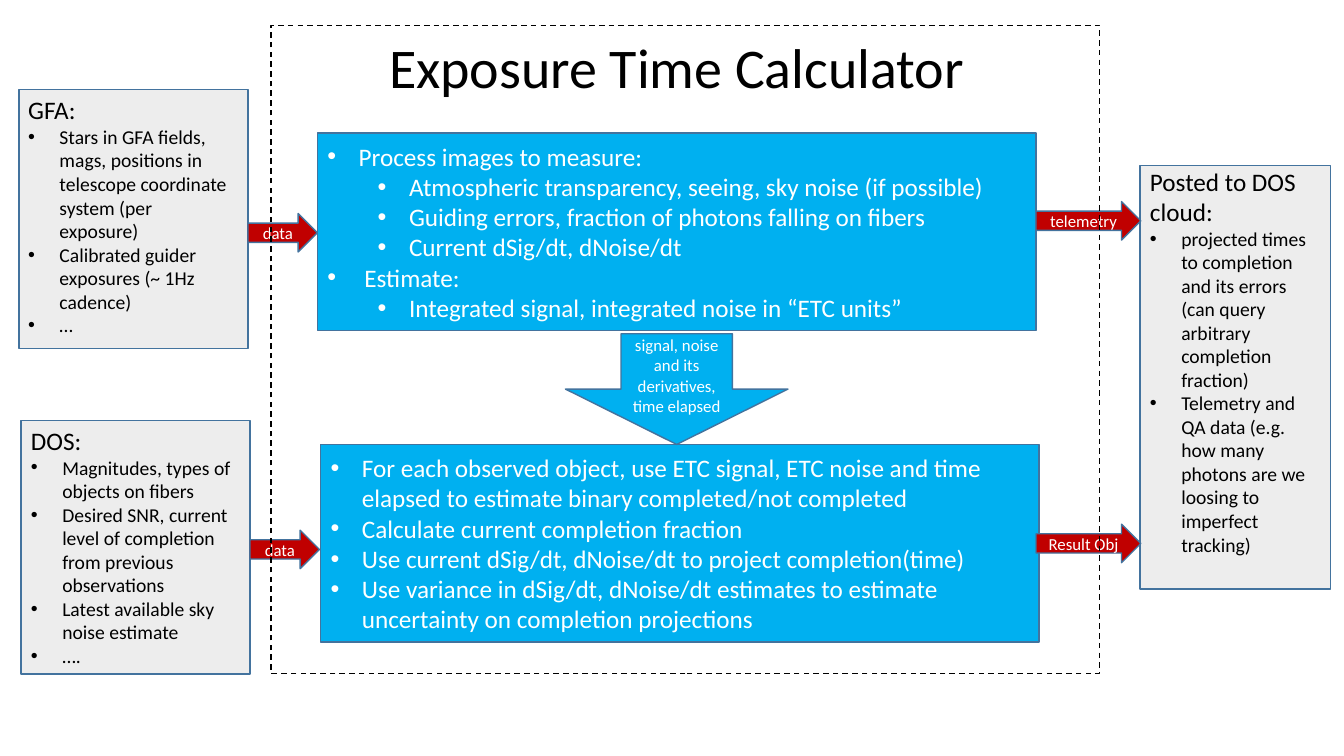
from lxml import etree
from pptx import Presentation
from pptx import util as u
from pptx.dml.color import RGBColor
from pptx.enum import dml, shapes, text
from pptx.oxml.ns import qn

FONT = "Calibri"
SKY = RGBColor(0x00, 0xB0, 0xF0)
RED = RGBColor(0xC0, 0x00, 0x00)
GREY = RGBColor(0xED, 0xED, 0xED)
EDGE = RGBColor(0x43, 0x73, 0x9E)
WHITE = RGBColor(0xFF, 0xFF, 0xFF)
BLACK = RGBColor(0x00, 0x00, 0x00)

KIND = shapes.MSO_SHAPE
INDENT = 0.79
LEVEL_STEP = 1.27
ARROW_HEIGHT = 0.97

# Boxes are (left, top, width, height) in centimetres.
FRAME = (6.83, 0.64, 20.88, 16.33)
MEASURE = (8.0, 3.35, 18.11, 4.98)
PROJECT = (8.08, 11.2, 18.11, 4.98)
HANDOVER = (14.25, 8.41, 5.61, 2.79)

MEASURE_ITEMS = [
    (0, "Process images to measure:"),
    (1, "Atmospheric transparency, seeing, sky noise (if possible)"),
    (1, "Guiding errors, fraction of photons falling on fibers"),
    (1, "Current dSig/dt, dNoise/dt"),
    (0, " Estimate:"),
    (1, "Integrated signal, integrated noise in “ETC units”"),
]
PROJECT_ITEMS = [
    (0, "For each observed object, use ETC signal, ETC noise and time elapsed "
        "to estimate binary completed/not completed"),
    (0, "Calculate current completion fraction"),
    (0, "Use current dSig/dt, dNoise/dt to project completion(time)"),
    (0, "Use variance in dSig/dt, dNoise/dt estimates to estimate "
        "uncertainty on completion projections"),
]
# Panel box, text box, heading, bullets.
PANELS = [
    ((0.48, 2.26, 5.77, 6.53), (0.46, 2.26, 5.66, 6.4), "GFA:", [
        "Stars in GFA fields, mags, positions in telescope coordinate system (per exposure)",
        "Calibrated guider exposures (~ 1Hz cadence)",
        "…",
    ]),
    ((0.53, 10.59, 5.77, 6.4), (0.53, 10.59, 5.64, 7.01), "DOS:", [
        "Magnitudes, types of objects on fibers",
        "Desired SNR, current level of completion from previous observations",
        "Latest available sky noise estimate",
        "….",
    ]),
    ((28.73, 4.17, 4.8, 10.67), (28.73, 4.06, 4.8, 10.85), "Posted to DOS cloud:", [
        "projected times to completion and its errors (can query arbitrary completion fraction)",
        "Telemetry and QA data (e.g. how many photons are we loosing to imperfect tracking)",
    ]),
]
# Left, top, width, label.
FLOWS = [
    (6.25, 5.38, 1.75, "data"),
    (6.3, 13.36, 1.75, "data"),
    (26.11, 5.08, 2.64, "telemetry"),
    (26.11, 13.21, 2.64, "Result Obj"),
]


def place(box):
    return [u.Cm(length) for length in box]


def add_span(para, words, size, color):
    span = para.add_run()
    span.text = words
    span.font.name = FONT
    span.font.size = u.Pt(size)
    span.font.color.rgb = color


def set_bullet(para, level=0):
    para.level = level
    props = para._p.get_or_add_pPr()
    props.set("marL", str(u.Cm(INDENT + level * LEVEL_STEP)))
    props.set("indent", str(-u.Cm(INDENT)))
    etree.SubElement(props, qn("a:buFont")).set("typeface", "Arial")
    etree.SubElement(props, qn("a:buChar")).set("char", "•")


def next_para(frame):
    """Return the empty first paragraph, or a new one after it."""
    first = frame.paragraphs[0]
    para = frame.add_paragraph() if first.runs else first
    para.alignment = text.PP_ALIGN.LEFT
    return para


def add_block(page, kind, box, fill):
    block = page.shapes.add_shape(kind, *place(box))
    block.shadow.inherit = False
    block.fill.solid()
    block.fill.fore_color.rgb = fill
    block.line.color.rgb = EDGE
    block.line.width = u.Pt(1)
    block.text_frame.vertical_anchor = text.MSO_ANCHOR.MIDDLE
    return block


def add_step(page, box, items):
    frame = add_block(page, KIND.RECTANGLE, box, SKY).text_frame
    for level, words in items:
        para = next_para(frame)
        set_bullet(para, level)
        add_span(para, words, 18, WHITE)


def add_panel(page, box, text_box, heading, items):
    add_block(page, KIND.RECTANGLE, box, GREY)
    frame = page.shapes.add_textbox(*place(text_box)).text_frame
    frame.word_wrap = True
    frame.auto_size = text.MSO_AUTO_SIZE.SHAPE_TO_FIT_TEXT
    add_span(next_para(frame), heading, 18, BLACK)
    for words in items:
        para = next_para(frame)
        set_bullet(para)
        add_span(para, words, 14, BLACK)


def add_arrow(page, kind, box, fill, label):
    para = add_block(page, kind, box, fill).text_frame.paragraphs[0]
    para.alignment = text.PP_ALIGN.CENTER
    add_span(para, label, 12, WHITE)


def add_frame(page, box):
    border = page.shapes.add_shape(KIND.RECTANGLE, *place(box))
    border.shadow.inherit = False
    border.fill.background()
    border.line.color.rgb = BLACK
    border.line.width = u.Pt(1)
    border.line.dash_style = dml.MSO_LINE.DASH


def add_title(page, box, words):
    title = page.shapes.title
    title.left, title.top, title.width, title.height = place(box)
    frame = title.text_frame
    frame.word_wrap = True
    frame.auto_size = text.MSO_AUTO_SIZE.NONE
    frame.vertical_anchor = text.MSO_ANCHOR.TOP
    add_span(next_para(frame), words, 40, BLACK)


def main():
    deck = Presentation()
    deck.slide_width, deck.slide_height = u.Cm(33.87), u.Cm(19.05)
    page = deck.slides.add_slide(deck.slide_layouts.get_by_name("Title Only"))
    add_title(page, (9.55, 0.69, 15.16, 1.96), "Exposure Time Calculator")
    add_step(page, MEASURE, MEASURE_ITEMS)
    add_step(page, PROJECT, PROJECT_ITEMS)
    for panel in PANELS:
        add_panel(page, *panel)
    add_arrow(page, KIND.DOWN_ARROW, HANDOVER, SKY,
              "signal, noise and its derivatives, time elapsed")
    for left, top, width, label in FLOWS:
        add_arrow(page, KIND.RIGHT_ARROW, (left, top, width, ARROW_HEIGHT), RED, label)
    add_frame(page, FRAME)
    deck.save("out.pptx")


if __name__ == "__main__":
    main()
